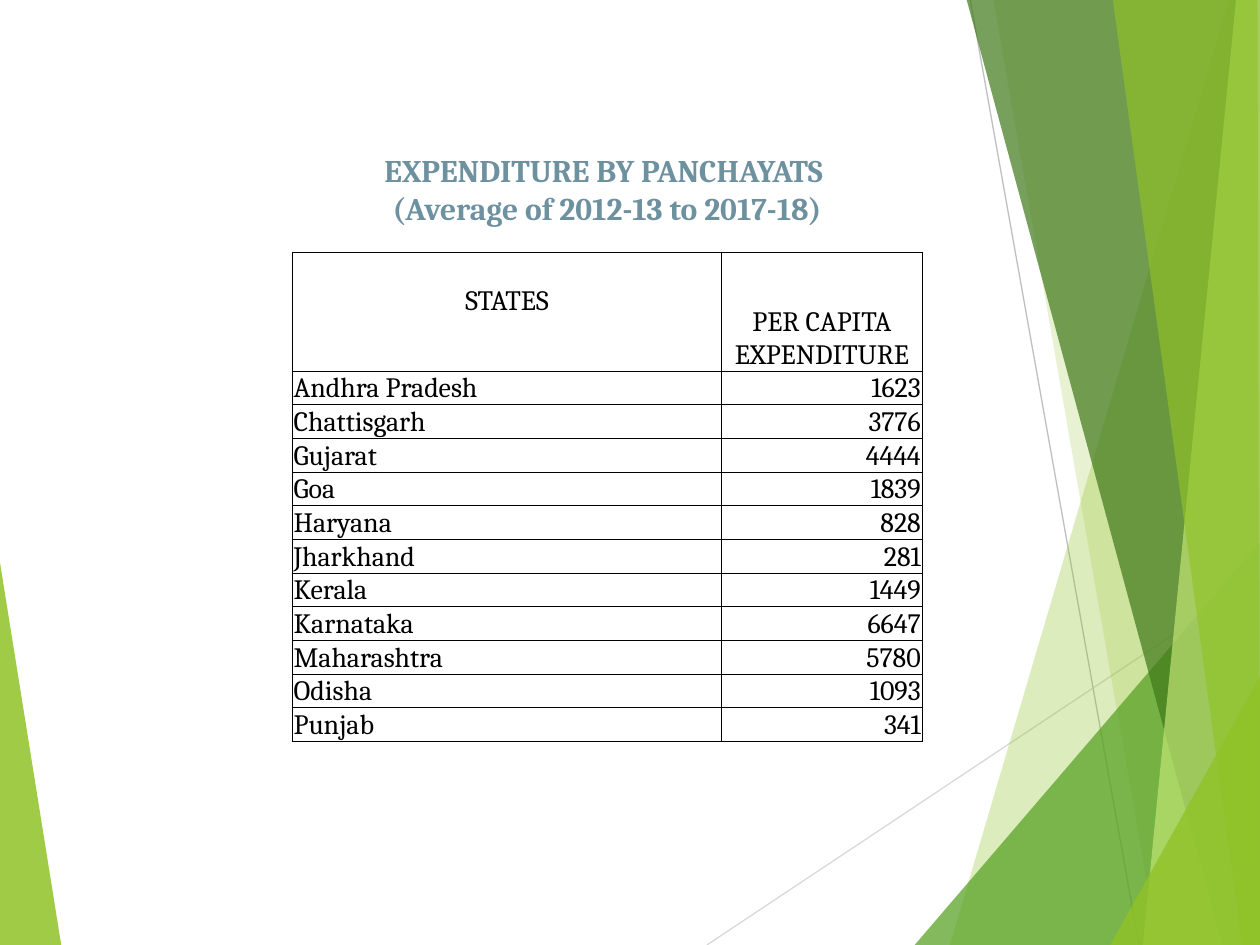
"""Build a slide with a table of panchayat expenditure by state."""
import pptx
import pptx.dml.color
import pptx.enum.shapes
import pptx.enum.text
import pptx.oxml
import pptx.oxml.ns
import pptx.util
from lxml import etree

Cm = pptx.util.Cm
Pt = pptx.util.Pt
Color = pptx.dml.color.RGBColor.from_string
Align = pptx.enum.text.PP_ALIGN
Anchor = pptx.enum.text.MSO_ANCHOR
qn = pptx.oxml.ns.qn

THEME = {
    "font": "Cambria", "head": 18, "body": 16,
    "title": "6E91A0", "ink": "000000",
    "lime": "90C226", "green": "54A021", "dark": "3F7819", "pale": "C0E474",
    "gray": "D9D9D9", "mid": "BFBFBF",
}


def write(frame, text, size="body", color="ink", bold=False, align=Align.LEFT):
    """Fill a text frame, one paragraph a line, in a single format."""
    frame.word_wrap = True
    frame.text = text
    for para in frame.paragraphs:
        para.alignment = align
        font = para.font
        font.name, font.size, font.bold = THEME["font"], Pt(THEME[size]), bold
        font.color.rgb = Color(THEME[color])


def edge(cell):
    """Draw a thin line on all four sides of a cell."""
    props = cell._tc.get_or_add_tcPr()
    for spot, side in enumerate(("lnL", "lnR", "lnT", "lnB")):
        line = etree.Element(qn("a:" + side), w=str(Pt(0.5)))
        fill = etree.SubElement(line, qn("a:solidFill"))
        etree.SubElement(fill, qn("a:srgbClr"), val=THEME["ink"])
        props.insert(spot, line)


deck = pptx.Presentation()
deck.slide_width, deck.slide_height = Cm(25.4), Cm(19.05)
slide = deck.slides.add_slide(deck.slide_layouts[5])
shapes = slide.shapes

TOP, BASE, SIDE = -0.03, 19.05, 25.43
rays = [
    ("gray", 14.25, BASE, SIDE, 11.61),
    ("mid", 19.56, 0, 22.96, BASE),
]
for color, *ends in rays:
    ray = shapes.add_connector(
        pptx.enum.shapes.MSO_CONNECTOR.STRAIGHT, *[Cm(end) for end in ends])
    ray.line.color.rgb = Color(THEME[color])
    ray.line.width = Pt(0.75)
    etree.SubElement(ray._element.spPr, qn("a:effectLst"))

shards = [
    ("lime", 85, [(TOP, 11.15), (1.24, 19.08), (TOP, BASE)]),
    ("lime", 30, [(24.77, 0), (19.15, BASE), (SIDE, BASE), (SIDE, 0)]),
    ("lime", 20, [(20.02, TOP), (23.34, BASE), (SIDE, BASE), (SIDE, TOP)]),
    ("green", 72, [(18.44, BASE), (SIDE, 10.9), (SIDE, BASE)]),
    ("dark", 70, [(19.48, TOP), (24.64, BASE), (SIDE, BASE), (SIDE, TOP)]),
    ("pale", 70, [(24.92, TOP), (23.04, BASE), (SIDE, BASE), (SIDE, TOP)]),
    ("lime", 65, [(22.43, TOP), (25.04, BASE), (25.4, BASE), (25.35, TOP)]),
    ("lime", 80, [(22.38, BASE), (SIDE, 13.59), (SIDE, BASE)]),
]
for color, alpha, points in shards:
    first, *rest = [(Cm(x), Cm(y)) for x, y in points]
    pen = shapes.build_freeform(*first)
    pen.add_line_segments(rest, close=True)
    shard = pen.convert_to_shape()
    shard.shadow.inherit = False
    shard.fill.solid()
    shard.fill.fore_color.rgb = Color(THEME[color])
    shard.line.fill.background()
    tint = shard._element.spPr.find(qn("a:solidFill"))[0]
    etree.SubElement(tint, qn("a:alpha"), val=str(alpha * 1000))

title = shapes.title
title.left, title.top, title.width, title.height = (
    Cm(5.89), Cm(2.92), Cm(12.7), Cm(1.8))
write(title.text_frame,
      "EXPENDITURE BY PANCHAYATS \n(Average of 2012-13 to 2017-18)",
      size="head", color="title", bold=True, align=Align.CENTER)
title.text_frame.auto_size = pptx.enum.text.MSO_AUTO_SIZE.NONE
title.text_frame.vertical_anchor = Anchor.TOP

rows = [
    ("STATES", "PER CAPITA EXPENDITURE"),
    ("Andhra Pradesh", 1623), ("Chattisgarh", 3776), ("Gujarat", 4444),
    ("Goa", 1839), ("Haryana", 828), ("Jharkhand", 281), ("Kerala", 1449),
    ("Karnataka", 6647), ("Maharashtra", 5780), ("Odisha", 1093),
    ("Punjab", 341),
]
HEAD, STEP = 2.4, 0.67
table = shapes.add_table(
    len(rows), 2, Cm(5.89), Cm(5.08), Cm(12.7),
    Cm(HEAD + STEP * (len(rows) - 1))).table
table.first_row = table.horz_banding = False
table.columns[0].width, table.columns[1].width = Cm(8.66), Cm(4.04)
for r, row in enumerate(rows):
    table.rows[r].height = Cm(STEP if r else HEAD)
    for c, value in enumerate(row):
        cell = table.cell(r, c)
        cell.fill.background()
        edge(cell)
        cell.margin_left = cell.margin_right = cell.margin_top = Cm(0.03)
        cell.margin_bottom = 0
        cell.vertical_anchor = Anchor.BOTTOM if c else Anchor.TOP
        side = Align.RIGHT if c else Align.LEFT
        write(cell.text_frame, str(value), align=side if r else Align.CENTER)
table.cell(0, 0).margin_top = Cm(0.68)

deck.save("out.pptx")
